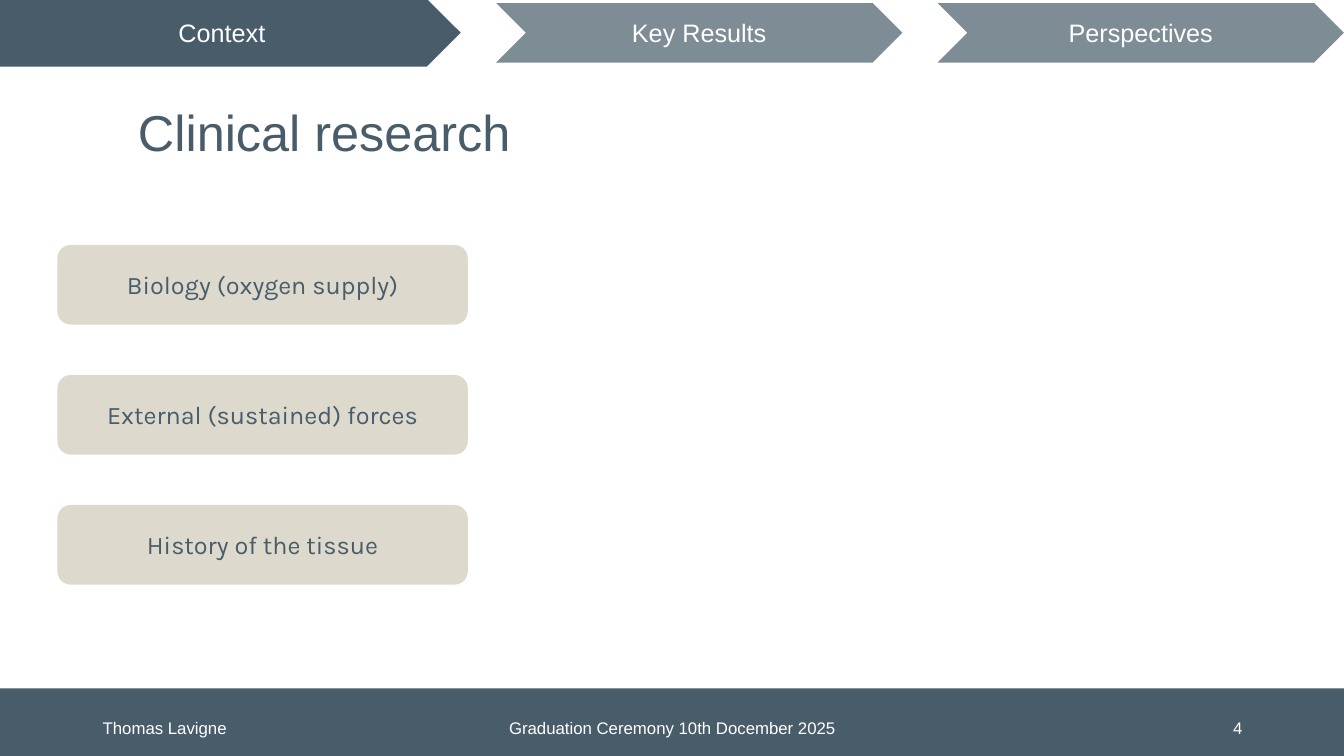
from lxml import etree
from pptx import Presentation
from pptx import util as u
from pptx.dml.color import RGBColor
from pptx.enum import shapes, text
from pptx.oxml.ns import qn

COLORS = {"slate": "485C6A", "sand": "DDDACD", "white": "FFFFFF"}
SHAPE = shapes.MSO_SHAPE
ALIGN = text.PP_ALIGN


class SlideBuilder:
    heading_font = "Arial"
    body_font = "Karla"

    def __init__(self, page):
        self.page = page

    def color(self, name):
        return RGBColor.from_string(COLORS[name])

    def fill_text(self, box, words, size, color, font, align):
        frame = box.text_frame
        frame.word_wrap = True
        frame.vertical_anchor = text.MSO_ANCHOR.MIDDLE
        para = frame.paragraphs[0]
        para.text = words
        para.alignment = align
        para.font.size = u.Pt(size)
        para.font.name = font
        para.font.color.rgb = self.color(color)
        return para

    def shape(self, kind, place, fill, words="", color="white", font=heading_font, opacity=100):
        box = self.page.shapes.add_shape(kind, *map(u.Inches, place))
        box.shadow.inherit = False
        box.line.fill.background()
        box.fill.solid()
        box.fill.fore_color.rgb = self.color(fill)
        if opacity < 100:
            tint = box.element.spPr.find(qn("a:solidFill"))[0]
            etree.SubElement(tint, qn("a:alpha"), val=str(opacity * 1000))
        if words:
            self.fill_text(box, words, 18, color, font, ALIGN.CENTER)

    def label(self, place, words, size=12, color="white", align=ALIGN.LEFT):
        box = self.page.shapes.add_textbox(*map(u.Inches, place))
        return self.fill_text(box, words, size, color, self.heading_font, align)


def main():
    deck = Presentation()
    deck.slide_width, deck.slide_height = u.Inches(13.33), u.Inches(7.5)
    slide = SlideBuilder(deck.slides.add_slide(deck.slide_layouts[6]))

    slide.shape(SHAPE.RECTANGLE, (0, 6.83, 13.33, 0.79), "slate")
    for left, section in ((4.92, "Key Results"), (9.3, "Perspectives")):
        slide.shape(SHAPE.CHEVRON, (left, 0.03, 4.03, 0.59), "slate", section, opacity=70)
    slide.shape(SHAPE.PENTAGON, (0, -0.01, 4.57, 0.67), "slate", "Context")

    title = slide.label((1.27, 0.85, 11.15, 0.99), "Clinical research", 36, "slate")
    title.line_spacing = 0.9

    footers = (
        (0.92, 3, "Thomas Lavigne", ALIGN.LEFT),
        (4.42, 4.5, "Graduation Ceremony 10th Docember 2025", ALIGN.CENTER),
        (9.42, 3, "4", ALIGN.RIGHT),
    )
    for left, width, words, align in footers:
        slide.label((left, 7.02, width, 0.4), words, align=align)

    factors = ("Biology (oxygen supply)", "External (sustained) forces", "History of the tissue")
    for row, factor in enumerate(factors):
        slide.shape(SHAPE.ROUNDED_RECTANGLE, (0.57, 2.43 + 1.29 * row, 4.07, 0.79),
                    "sand", factor, "slate", slide.body_font)

    deck.save("out.pptx")


if __name__ == "__main__":
    main()
